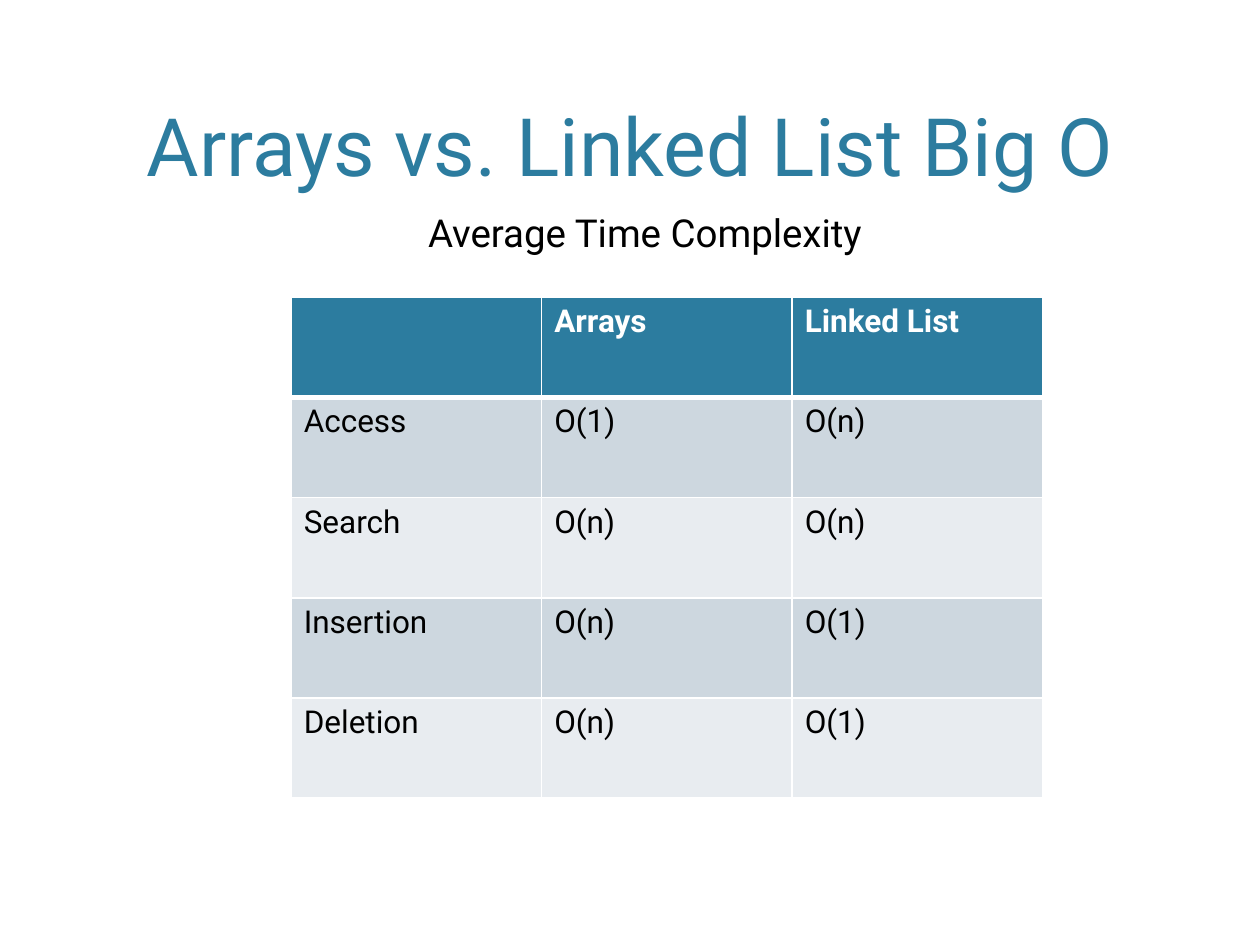
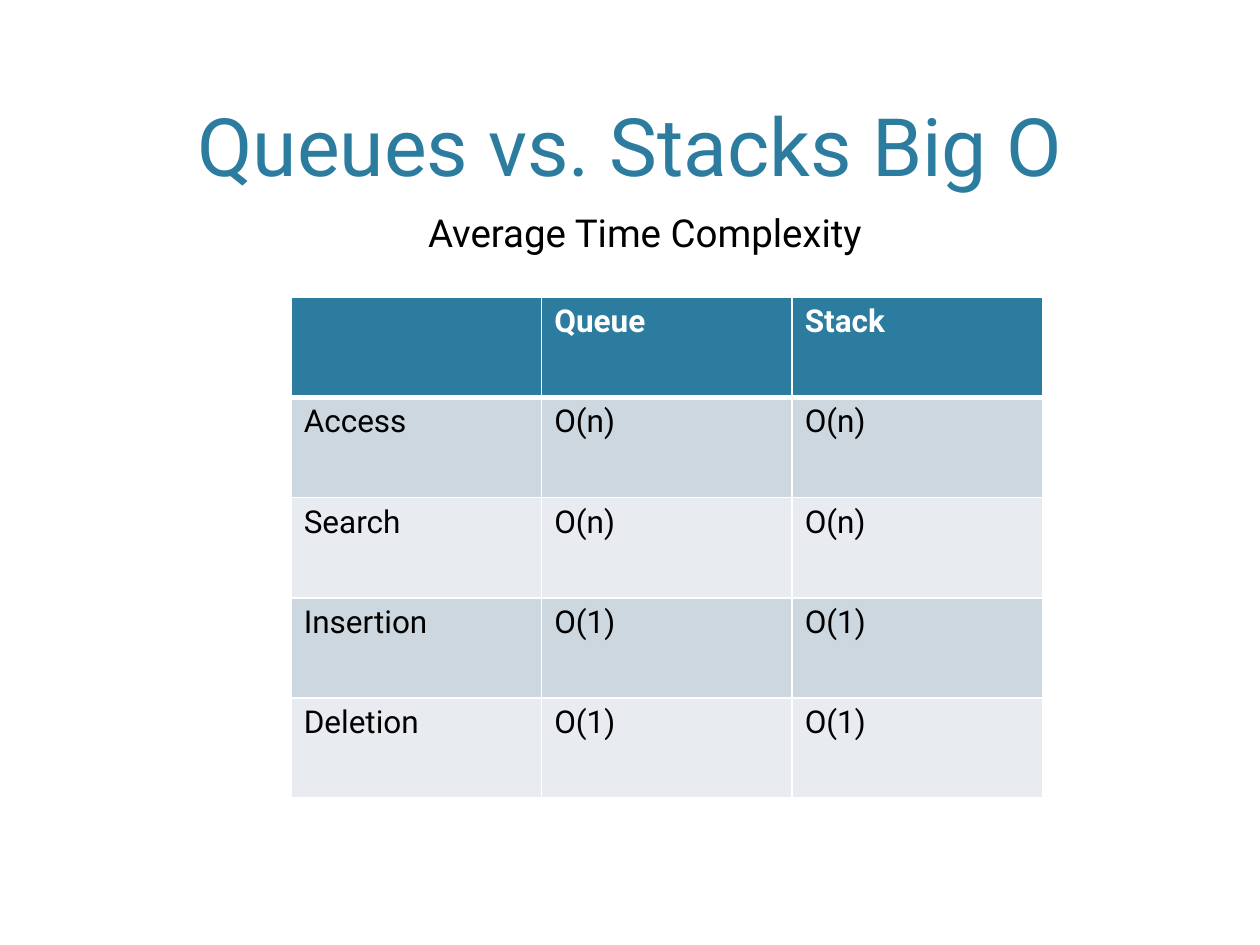
"""Build two slides that compare the time complexity of data structures."""
import dataclasses

import lxml.etree
import pptx
import pptx.dml.color
import pptx.enum.text
import pptx.oxml.ns
import pptx.presentation
import pptx.shapes.base
import pptx.slide
import pptx.table
import pptx.text.text
import pptx.util
from pptx.util import Cm

FONT = "Roboto"
TEAL = "2C7C9F"
WHITE = "FFFFFF"
BLACK = "000000"
BANDS = ("CDD7DF", "E8ECF0")
OPERATIONS = ("Access", "Search", "Insertion", "Deletion")
COLUMN_WIDTH = Cm(5.05)
ROW_HEIGHT = Cm(2.02)
THIN, THICK = 1, 3


@dataclasses.dataclass(frozen=True)
class Box:
    left: pptx.util.Length
    top: pptx.util.Length
    width: pptx.util.Length
    height: pptx.util.Length


@dataclasses.dataclass(frozen=True)
class Structure:
    name: str
    costs: tuple[str, ...]


@dataclasses.dataclass(frozen=True)
class Comparison:
    title: str
    structures: tuple[Structure, ...]

    def rows(self) -> list[tuple[str, ...]]:
        header = ("", *(structure.name for structure in self.structures))
        costs = zip(*(structure.costs for structure in self.structures))
        return [header, *((name, *cost) for name, cost in zip(OPERATIONS, costs))]


TITLE_BOX = Box(Cm(1.52), Cm(0.3), Cm(22.35), Cm(3.71))
SUBTITLE_BOX = Box(Cm(8.38), Cm(4.09), Cm(9.88), Cm(1.19))
TABLE_LEFT, TABLE_TOP = Cm(5.87), Cm(5.99)

COMPARISONS = (
    Comparison("Arrays vs. Linked List Big O", (
        Structure("Arrays", ("O(1)", "O(n)", "O(n)", "O(n)")),
        Structure("Linked List", ("O(n)", "O(n)", "O(1)", "O(1)")),
    )),
    Comparison("Queues vs. Stacks Big O", (
        Structure("Queue", ("O(n)", "O(n)", "O(1)", "O(1)")),
        Structure("Stack", ("O(n)", "O(n)", "O(1)", "O(1)")),
    )),
)


def color(value: str) -> pptx.dml.color.RGBColor:
    return pptx.dml.color.RGBColor.from_string(value)


def write(frame: pptx.text.text.TextFrame, text: str, *, size: float,
          fill: str = BLACK, bold: bool = False,
          align: pptx.enum.text.PP_ALIGN = pptx.enum.text.PP_ALIGN.LEFT) -> None:
    paragraph = frame.paragraphs[0]
    paragraph.alignment = align
    run = paragraph.add_run()
    run.text = text
    run.font.name = FONT
    run.font.size = pptx.util.Pt(size)
    run.font.bold = bold
    run.font.color.rgb = color(fill)


def place(shape: pptx.shapes.base.BaseShape, box: Box) -> None:
    shape.left, shape.top = box.left, box.top
    shape.width, shape.height = box.width, box.height


def add_borders(cell: pptx.table._Cell, **widths: float) -> None:
    properties = cell._tc.get_or_add_tcPr()
    qn = pptx.oxml.ns.qn
    for side, width in widths.items():
        line = lxml.etree.SubElement(properties, qn(f"a:{side}"), w=str(pptx.util.Pt(width)))
        solid = lxml.etree.SubElement(line, qn("a:solidFill"))
        lxml.etree.SubElement(solid, qn("a:srgbClr"), val=WHITE)


def add_title(slide: pptx.slide.Slide, text: str) -> None:
    title = slide.shapes.title
    place(title, TITLE_BOX)
    title.text_frame.vertical_anchor = pptx.enum.text.MSO_ANCHOR.BOTTOM
    title.text_frame.auto_size = pptx.enum.text.MSO_AUTO_SIZE.NONE
    write(title.text_frame, text, size=46, fill=TEAL, align=pptx.enum.text.PP_ALIGN.CENTER)


def add_subtitle(slide: pptx.slide.Slide, text: str) -> None:
    box = SUBTITLE_BOX
    frame = slide.shapes.add_textbox(box.left, box.top, box.width, box.height).text_frame
    frame.word_wrap = True
    write(frame, text, size=22)


def add_cost_table(slide: pptx.slide.Slide, rows: list[tuple[str, ...]]) -> None:
    row_count, column_count = len(rows), len(rows[0])
    table = slide.shapes.add_table(
        row_count, column_count, TABLE_LEFT, TABLE_TOP,
        COLUMN_WIDTH * column_count, ROW_HEIGHT * row_count).table
    for column in table.columns:
        column.width = COLUMN_WIDTH
    for index, texts in enumerate(rows):
        table.rows[index].height = ROW_HEIGHT
        header = index == 0
        for cell, text in zip(table.rows[index].cells, texts):
            add_borders(cell, lnL=THIN, lnR=THIN,
                        lnT=THICK if index == 1 else THIN,
                        lnB=THICK if header else THIN)
            cell.fill.solid()
            cell.fill.fore_color.rgb = color(TEAL if header else BANDS[(index - 1) % 2])
            if text:
                write(cell.text_frame, text, size=18, bold=header,
                      fill=WHITE if header else BLACK)


def add_comparison(deck: pptx.presentation.Presentation, comparison: Comparison) -> None:
    slide = deck.slides.add_slide(deck.slide_layouts.get_by_name("Title Only"))
    add_title(slide, comparison.title)
    add_cost_table(slide, comparison.rows())
    add_subtitle(slide, "Average Time Complexity")


def main() -> None:
    deck = pptx.Presentation()
    deck.slide_width, deck.slide_height = Cm(25.4), Cm(19.05)
    for comparison in COMPARISONS:
        add_comparison(deck, comparison)
    deck.save("out.pptx")


if __name__ == "__main__":
    main()
